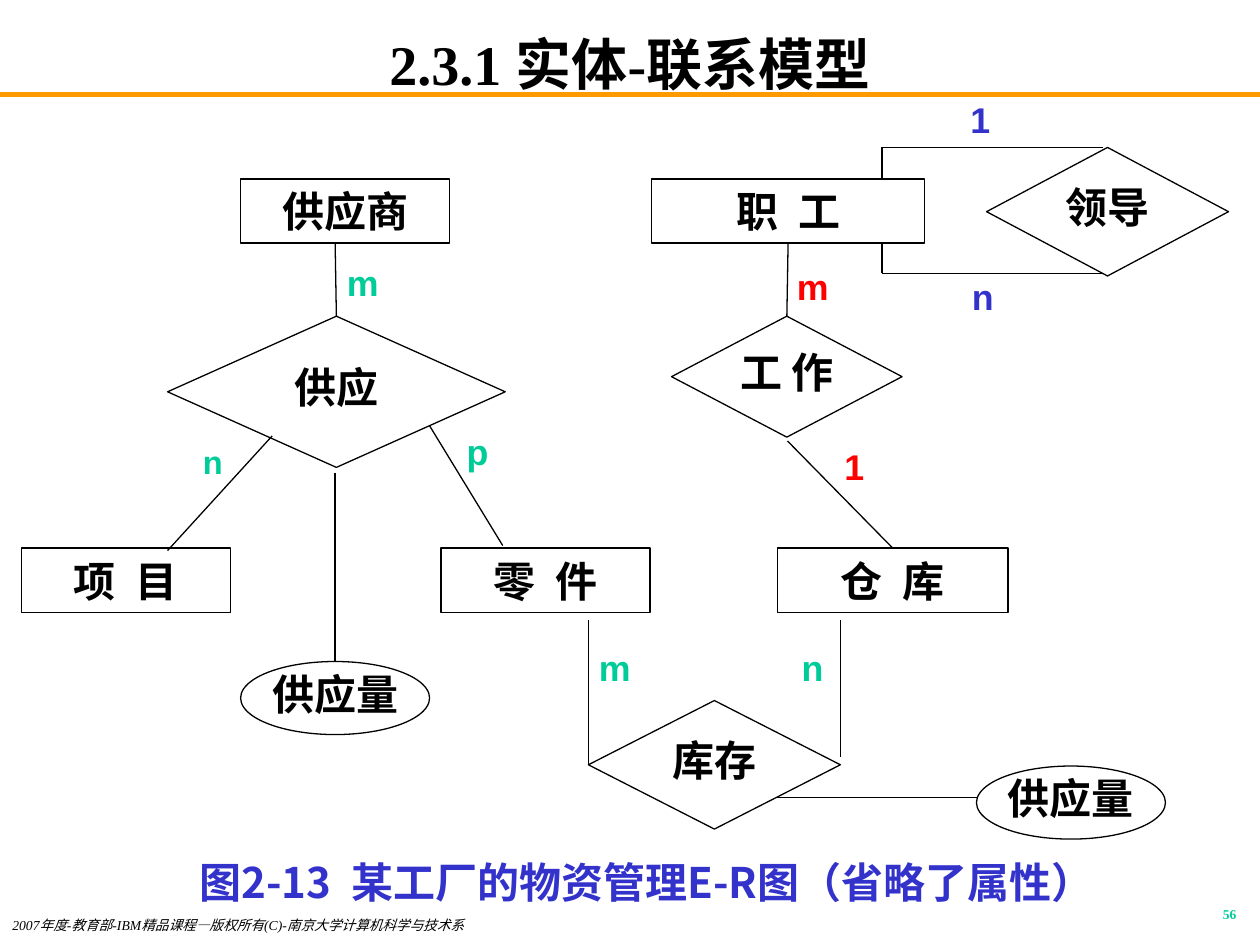
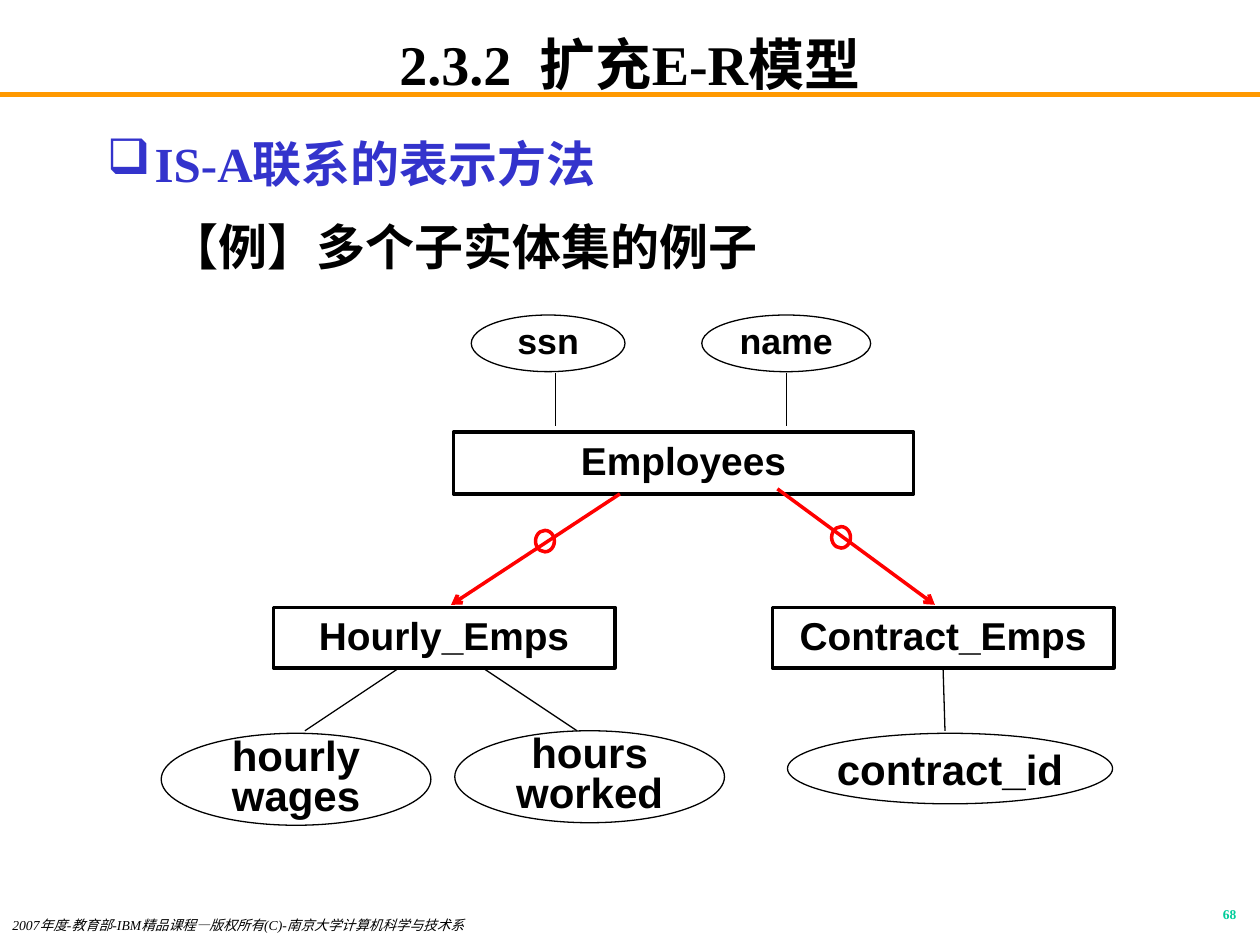
from lxml import etree
from pptx import Presentation
from pptx.dml.color import RGBColor
from pptx.enum.shapes import MSO_CONNECTOR, MSO_SHAPE
from pptx.enum.text import MSO_ANCHOR, PP_ALIGN
from pptx.oxml.ns import qn
from pptx.util import Inches, Pt

RECT, OVAL = MSO_SHAPE.RECTANGLE, MSO_SHAPE.OVAL
RHOMB = MSO_SHAPE.DIAMOND
STRAIGHT = MSO_CONNECTOR.STRAIGHT
TOP, MID = MSO_ANCHOR.TOP, MSO_ANCHOR.MIDDLE
LEFT, CENTER, RIGHT = PP_ALIGN.LEFT, PP_ALIGN.CENTER, PP_ALIGN.RIGHT

BLACK = RGBColor(0x00, 0x00, 0x00)
WHITE = RGBColor(0xFF, 0xFF, 0xFF)
ORANGE = RGBColor(0xFF, 0x99, 0x00)
GREEN = RGBColor(0x00, 0xCC, 0x99)
BLUE = RGBColor(0x33, 0x33, 0xCC)
RED = RGBColor(0xFF, 0x00, 0x00)

SANS, SERIF, HAN = "Arial", "Times New Roman", "Noto Sans CJK SC"
THIN, BOLD = 0.75, 2
FOOT = "2007年度-教育部-IBM精品课程—版权所有(C)-南京大学计算机科学与技术系"


def put(slide, at, text="", size=24, color=BLACK, kind=None, font=SANS,
        edge=BLACK, width=THIN, fill=None, anchor=MID, align=CENTER,
        space=1.0, pad=(0.1, 0.05), bold=True):
    """Add a shape, or a text box when kind is None.

    Lines of text are paragraphs; "|" parts the runs, and a run that is
    a lone space is drawn twice as wide.
    """
    spot = [Inches(n) for n in at]
    if kind is None:
        shape = slide.shapes.add_textbox(*spot)
    else:
        shape = slide.shapes.add_shape(kind, *spot)
        shape.shadow.inherit = False
        shape.line.color.rgb = edge
        shape.line.width = Pt(width)
        if fill is None:
            shape.fill.background()
        else:
            shape.fill.solid()
            shape.fill.fore_color.rgb = fill
    if not text:
        return shape
    frame = shape.text_frame
    frame.word_wrap = True
    frame.vertical_anchor = anchor
    frame.margin_left = frame.margin_right = Inches(pad[0])
    frame.margin_top = frame.margin_bottom = Inches(pad[1])
    for i, line in enumerate(text.split("\n")):
        para = frame.add_paragraph() if i else frame.paragraphs[0]
        para.alignment = align
        para.line_spacing = space
        for part in line.split("|"):
            run = para.add_run()
            run.text = part
            run.font.size = Pt(size)
            run.font.bold = bold
            run.font.italic = not bold
            run.font.color.rgb = color
            run.font.name = font
            props = run.font._element
            etree.SubElement(props, qn("a:ea"), typeface=HAN)
            if part == " ":
                props.set("spc", str(int(size * 25)))
    return shape


def link(slide, ends, begin=None, end=None, color=BLACK, width=THIN, head=False):
    """Draw a line; begin and end are (shape, site) pairs to join it to."""
    line = slide.shapes.add_connector(STRAIGHT, *[Inches(n) for n in ends])
    if begin:
        line.begin_connect(*begin)
    if end:
        line.end_connect(*end)
    line.line.color.rgb = color
    line.line.width = Pt(width)
    props = line._element.spPr
    if head:
        etree.SubElement(props.find(qn("a:ln")), qn("a:tailEnd"), type="arrow")
    etree.SubElement(props, qn("a:effectLst"))


deck = Presentation()
deck.slide_width, deck.slide_height = Inches(10), Inches(7.5)

# Title, rule and footers on both slides
pages = []
for title, page in (("2.3.1 实体-联系模型", "56"), ("2.3.2| |扩充E-R模型", "68")):
    slide = deck.slides.add_slide(deck.slide_layouts[6])
    link(slide, (0, 0.75, 10, 0.75), color=ORANGE, width=3)
    put(slide, (0.75, 0.25, 8.5, 0.5), title, 32, font=SERIF, pad=(0.1, 0))
    put(slide, (0, 7.25, 5.5, 0.25), FOOT, 7.8, font=SERIF, anchor=TOP,
        align=LEFT, space=0.8, bold=False)
    put(slide, (7.83, 7.17, 2.08, 0.25), page, 7.7, GREEN, font=SERIF,
        anchor=TOP, align=RIGHT, space=0.8)
    pages.append(slide)
plant, staff = pages

# Slide 1: factory E-R diagram
nodes = {}
for name, kind, at, text in (
    ("vendor", RECT, (1.91, 1.42, 1.66, 0.51), "供应商"),
    ("worker", RECT, (5.17, 1.42, 2.17, 0.51), "职| |工"),
    ("project", RECT, (0.17, 4.35, 1.66, 0.51), "项| |目"),
    ("part", RECT, (3.5, 4.35, 1.66, 0.51), "零| |件"),
    ("depot", RECT, (6.17, 4.35, 1.83, 0.51), "仓| |库"),
    ("supply", RHOMB, (1.33, 2.51, 2.68, 1.2), "供应"),
    ("work", RHOMB, (5.33, 2.51, 1.83, 0.96), "工 作"),
    ("stock", RHOMB, (4.67, 5.56, 2, 1.02), "库存"),
    ("lead", RHOMB, (7.83, 1.17, 1.92, 1.02), "领导"),
    ("supplied", OVAL, (1.91, 5.25, 1.5, 0.58), "供应量"),
    ("stocked", OVAL, (7.75, 6.08, 1.5, 0.58), "供应量"),
):
    nodes[name] = put(plant, at, text, kind=kind, pad=(0, 0),
                      space=1.0 if kind == RECT else 0.8)

for ends, begin, end in (
    ((6.25, 1.93, 6.25, 2.51), ("worker", 2), ("work", 0)),
    ((6.25, 3.5, 7.08, 4.32), None, ("depot", 0)),
    ((2.66, 1.93, 2.66, 2.51), None, ("supply", 0)),
    ((2.16, 3.46, 1.33, 4.37), None, None),
    ((3.41, 3.38, 3.99, 4.33), None, None),
    ((2.66, 3.75, 2.66, 5.25), None, ("supplied", 0)),
    ((4.67, 4.92, 4.67, 6.08), None, ("stock", 1)),
    ((6.67, 4.92, 6.67, 6.01), None, None),
    ((6.17, 6.33, 7.75, 6.33), None, None),
    ((8.75, 1.17, 7, 1.17), None, None),
    ((7, 1.17, 7, 1.42), None, None),
    ((8.75, 2.17, 7, 2.17), None, None),
    ((7, 1.92, 7, 2.17), None, None),
):
    joins = [(nodes[j[0]], j[1]) if j else None for j in (begin, end)]
    link(plant, ends, *joins)

for x, y, text, color, size in (
    (2.6, 2.04, "m", GREEN, 20.4),
    (1.41, 3.46, "n", GREEN, 18.6),
    (3.51, 3.38, "p", GREEN, 20.4),
    (4.6, 5.1, "m", GREEN, 20.4),
    (6.17, 5.1, "n", GREEN, 20.4),
    (6.17, 2.07, "m", RED, 20.4),
    (6.5, 3.5, "1", RED, 20.4),
    (7.5, 0.75, "1", BLUE, 20.4),
    (7.52, 2.15, "n", BLUE, 20.4),
):
    put(plant, (x, y, 0.56, 0.44), text, size, color, space=0.9)

put(plant, (1.17, 6.75, 7.92, 0.5), "图2-13| |某工厂的物资管理E-R图（省略了属性）",
    color=BLUE, font=HAN, anchor=TOP)

# Slide 2: IS-A heading and example
body = put(staff, (0.75, 0.92, 8.5, 1.58),
           "IS-A联系的表示方法\n【例】多个子实体集的例子", 28, BLUE, font=SERIF,
           anchor=TOP, align=LEFT, space=1.2)
point, case = body.text_frame.paragraphs
case.level = 1
case.space_before = Pt(7)
case.runs[0].font.color.rgb = BLACK
for para, left, hang in ((point, 0.38, -0.38), (case, 0.81, -0.31)):
    props = para._p.get_or_add_pPr()
    props.set("marL", str(Inches(left)))
    props.set("indent", str(Inches(hang)))
    if para is point:
        tint = etree.SubElement(props, qn("a:buClr"))
        etree.SubElement(tint, qn("a:srgbClr"), val=str(BLUE))
        etree.SubElement(props, qn("a:buChar"), char="❑")
    else:
        etree.SubElement(props, qn("a:buNone"))

# Slide 2: entity sets, then their attributes
sets = {}
for at, text in (
    ((3.6, 3.43, 3.65, 0.49), "Employees"),
    ((2.17, 4.82, 2.71, 0.48), "Hourly_Emps"),
    ((6.13, 4.82, 2.71, 0.48), "Contract_Emps"),
):
    sets[text] = put(staff, at, text, 22.2, kind=RECT, width=BOLD,
                     fill=WHITE, space=0.9)

for at, text, size, space in (
    ((3.74, 2.5, 1.22, 0.45), "ssn", 20.4, 0.9),
    ((5.57, 2.5, 1.34, 0.45), "name", 20.4, 0.9),
    ((1.28, 5.82, 2.14, 0.73), "hourly wages", 24, 0.8),
    ((3.61, 5.8, 2.14, 0.73), "hours worked", 24, 0.8),
    ((6.25, 5.82, 2.58, 0.56), "contract_id", 24, 1.0),
):
    put(staff, at, text, size, kind=OVAL, fill=WHITE, space=space, pad=(0, 0))

for ends in (
    (4.41, 2.96, 4.41, 3.38),
    (6.24, 2.96, 6.24, 3.38),
    (3.17, 5.3, 2.42, 5.8),
    (3.83, 5.3, 4.58, 5.8),
):
    link(staff, ends)
link(staff, (7.5, 5.3, 7.5, 5.8), begin=(sets["Contract_Emps"], 2))

for ends, ring in (
    ((4.92, 3.92, 3.58, 4.8), (4.25, 4.21)),
    ((6.17, 3.88, 7.42, 4.8), (6.6, 4.18)),
):
    link(staff, ends, color=RED, width=BOLD, head=True)
    put(staff, (*ring, 0.15, 0.17), kind=OVAL, edge=RED, width=BOLD)

deck.save("out.pptx")
